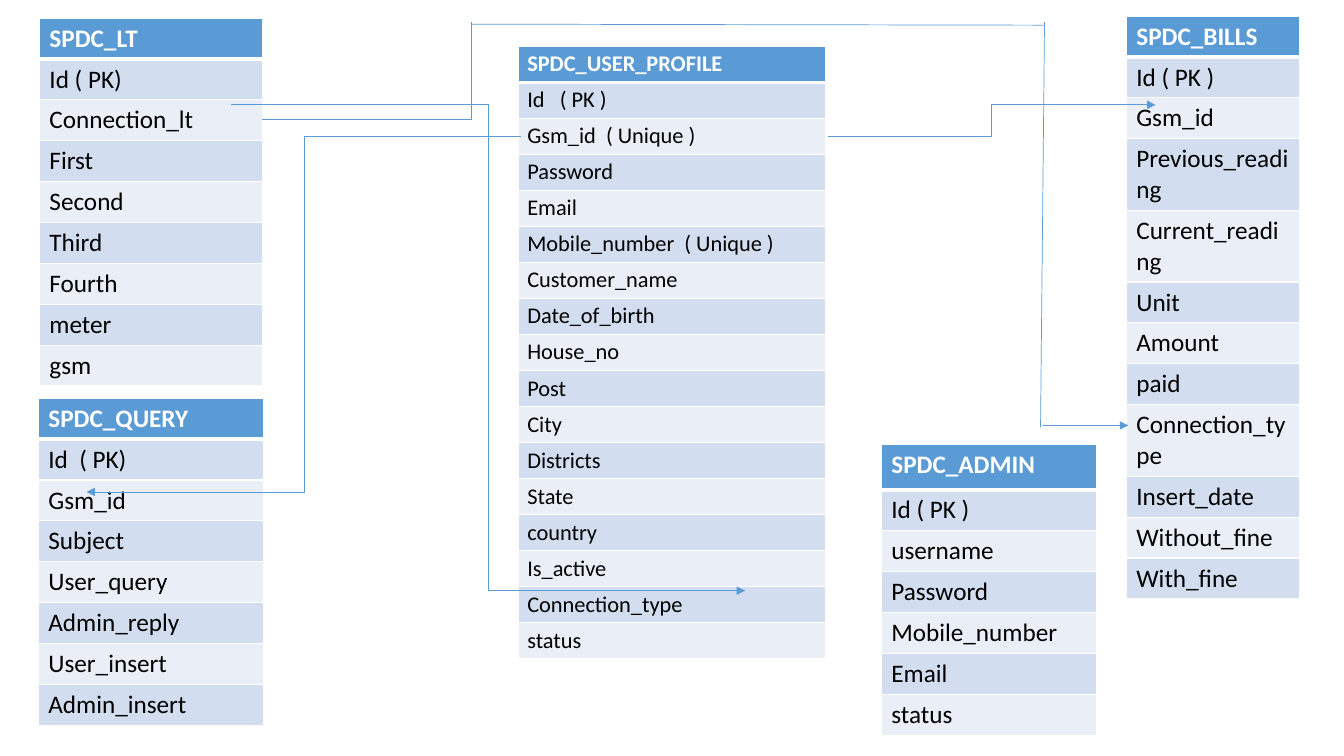
from lxml import etree
from pptx import Presentation
from pptx import util as u
from pptx.dml.color import RGBColor
from pptx.enum import shapes
from pptx.oxml import ns

WIDE, HIGH = u.Inches(13.33), u.Inches(7.5)
BLUE, WHITE, BLACK = "5B9BD5", "FFFFFF", "000000"
BANDS = ["EAEFF7", "D2DEEF"]

TABLES = [
    (38.56, 6.13, 22.88, 4.77, 4.77, 16, [
        "SPDC_USER_PROFILE", "Id   ( PK )", "Gsm_id  ( Unique )", "Password",
        "Email", "Mobile_number  ( Unique )", "Customer_name",
        "Date_of_birth", "House_no", "Post", "City", "Districts", "State",
        "country", "Is_active", "Connection_type", "status"]),
    (2.93, 2.4, 16.58, 5.4, 5.4, 18, [
        "SPDC_LT", "Id ( PK)", "Connection_lt", "First", "Second", "Third",
        "Fourth", "meter", "gsm"]),
    (83.8, 2.13, 12.9, 5.4, 5.4, 18, [
        "SPDC_BILLS", "Id ( PK )", "Gsm_id", "Previous_reading",
        "Current_reading", "Unit", "Amount", "paid", "Connection_type",
        "Insert_date", "Without_fine", "With_fine"]),
    (65.57, 58.8, 16.05, 6, 5.4, 18, [
        "SPDC_ADMIN", "Id ( PK )", "username", "Password", "Mobile_number",
        "Email", "status"]),
    (2.85, 52.67, 16.8, 5.4, 5.4, 18, [
        "SPDC_QUERY", "Id  ( PK)", "Gsm_id", "Subject", "User_query",
        "Admin_reply", "User_insert", "Admin_insert"]),
]

BENDS = [
    (61.59, 18, 85.97, 13.87),
    (38.78, 18, 6.45, 65.07),
    (17.18, 13.87, 55.44, 78.13),
]

LINES = [
    (19.5, 15.73, 35.11, 15.73, False),
    (35.11, 15.73, 35.11, 2.93, False),
    (35.11, 3.2, 77.64, 3.33, False),
    (77.72, 2.93, 77.42, 56.53, False),
    (77.64, 56.27, 83.95, 56.27, True),
]


def across(share):
    return round(WIDE * share / 100)


def down(share):
    return round(HIGH * share / 100)


def color(code):
    return RGBColor.from_string(code)


def add(parent, tag, **attrs):
    return etree.SubElement(parent, ns.qn(tag), **attrs)


def border(cell, top, base):
    props = cell._tc.get_or_add_tcPr()
    sides = [("L", 1), ("R", 1), ("T", top), ("B", base)]
    for spot, (side, size) in enumerate(sides):
        line = add(props, f"a:ln{side}", w=str(u.Pt(size)))
        add(add(line, "a:solidFill"), "a:srgbClr", val=WHITE)
        props.insert(spot, line)


def entity(slide, left, top, width, head, row, size, names):
    total = head + row * (len(names) - 1)
    frame = slide.shapes.add_table(
        len(names), 1, across(left), down(top), across(width), down(total))
    table = frame.table
    table.horz_banding = False
    for num, name in enumerate(names):
        first = num == 0
        table.rows[num].height = down(head if first else row)
        cell = table.cell(num, 0)
        cell.text = name
        if size == 16:
            cell.margin_left = cell.margin_right = u.Inches(0.09)
            cell.margin_top = cell.margin_bottom = u.Inches(0.04)
        font = cell.text_frame.paragraphs[0].font
        font.name, font.size, font.bold = "Calibri", u.Pt(size), first
        font.color.rgb = color(WHITE if first else BLACK)
        cell.fill.solid()
        cell.fill.fore_color.rgb = color(BLUE if first else BANDS[num % 2])
        border(cell, 3 if num == 1 else 1, 3 if first else 1)


def link(slide, kind, left, top, right, base, arrow):
    wire = slide.shapes.add_connector(
        kind, across(left), down(top), across(right), down(base))
    wire.line.color.rgb = color(BLUE)
    wire.line.width = u.Pt(0.5)
    if arrow:
        add(wire.line._get_or_add_ln(), "a:tailEnd", type="triangle")
    add(wire._element.spPr, "a:effectLst")


def main():
    deck = Presentation()
    deck.slide_width, deck.slide_height = WIDE, HIGH
    slide = deck.slides.add_slide(deck.slide_layouts[6])
    for item in TABLES:
        entity(slide, *item)
    for ends in BENDS:
        link(slide, shapes.MSO_CONNECTOR.ELBOW, *ends, True)
    for ends in LINES:
        link(slide, shapes.MSO_CONNECTOR.STRAIGHT, *ends)
    deck.save("out.pptx")


if __name__ == "__main__":
    main()
